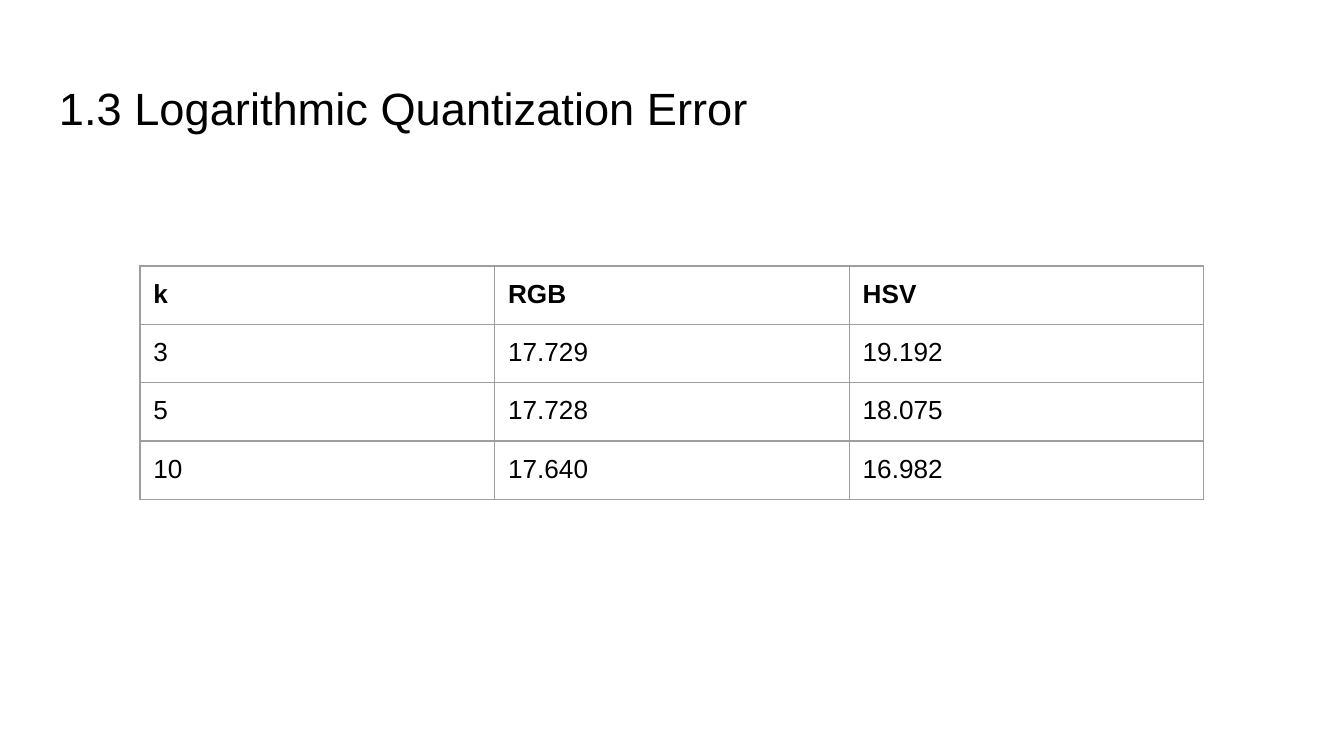
from dataclasses import dataclass

from lxml import etree
from pptx import Presentation
from pptx.dml.color import RGBColor
from pptx.enum.text import MSO_ANCHOR
from pptx.oxml.ns import qn
from pptx.util import Pt

MIDDLE = MSO_ANCHOR.MIDDLE
TOP = MSO_ANCHOR.TOP


@dataclass(frozen=True)
class Theme:
    font: str = "Arial"
    ink: str = "000000"
    rule: str = "9E9E9E"
    title_size: float = 24.2
    cell_size: float = 14
    rule_width: float = 0.75
    inset: float = 7.2


THEME = Theme()


def write(holder, frame, text, size, bold, anchor):
    """Fill a text box or table cell; both carry margins and an anchor."""
    holder.margin_left = holder.margin_right = Pt(THEME.inset)
    holder.margin_top = holder.margin_bottom = Pt(THEME.inset)
    holder.vertical_anchor = anchor
    frame.text = text
    font = frame.paragraphs[0].runs[0].font
    font.name = THEME.font
    font.size = Pt(size)
    font.bold = bold
    font.color.rgb = RGBColor.from_string(THEME.ink)


def add_borders(cell):
    properties = cell._tc.get_or_add_tcPr()
    for position, side in enumerate(("a:lnL", "a:lnR", "a:lnT", "a:lnB")):
        line = etree.Element(qn(side), w=str(Pt(THEME.rule_width)))
        fill = etree.SubElement(line, qn("a:solidFill"))
        etree.SubElement(fill, qn("a:srgbClr"), val=THEME.rule)
        properties.insert(position, line)


presentation = Presentation()
presentation.slide_width = Pt(720)
presentation.slide_height = Pt(405)
slide = presentation.slides.add_slide(presentation.slide_layouts[6])

title = slide.shapes.add_textbox(Pt(24.55), Pt(35.04), Pt(670.9), Pt(45.1)).text_frame
title.word_wrap = True
write(title, title, "1.3 Logarithmic Quantization Error", THEME.title_size, False, MIDDLE)

ERRORS = [
    ("k", "RGB", "HSV"),
    ("3", "17.729", "19.192"),
    ("5", "17.728", "18.075"),
    ("10", "17.640", "16.982"),
]
COLUMN_WIDTH = 190
ROW_HEIGHT = 30
row_count, column_count = len(ERRORS), len(ERRORS[0])

error_table = slide.shapes.add_table(
    row_count, column_count, Pt(75), Pt(142.5),
    Pt(COLUMN_WIDTH * column_count), Pt(ROW_HEIGHT * row_count),
).table
error_table.horz_banding = False

for row_index, values in enumerate(ERRORS):
    for column_index, value in enumerate(values):
        cell = error_table.cell(row_index, column_index)
        write(cell, cell.text_frame, value, THEME.cell_size, row_index == 0, TOP)
        cell.fill.background()
        add_borders(cell)

presentation.save("out.pptx")
